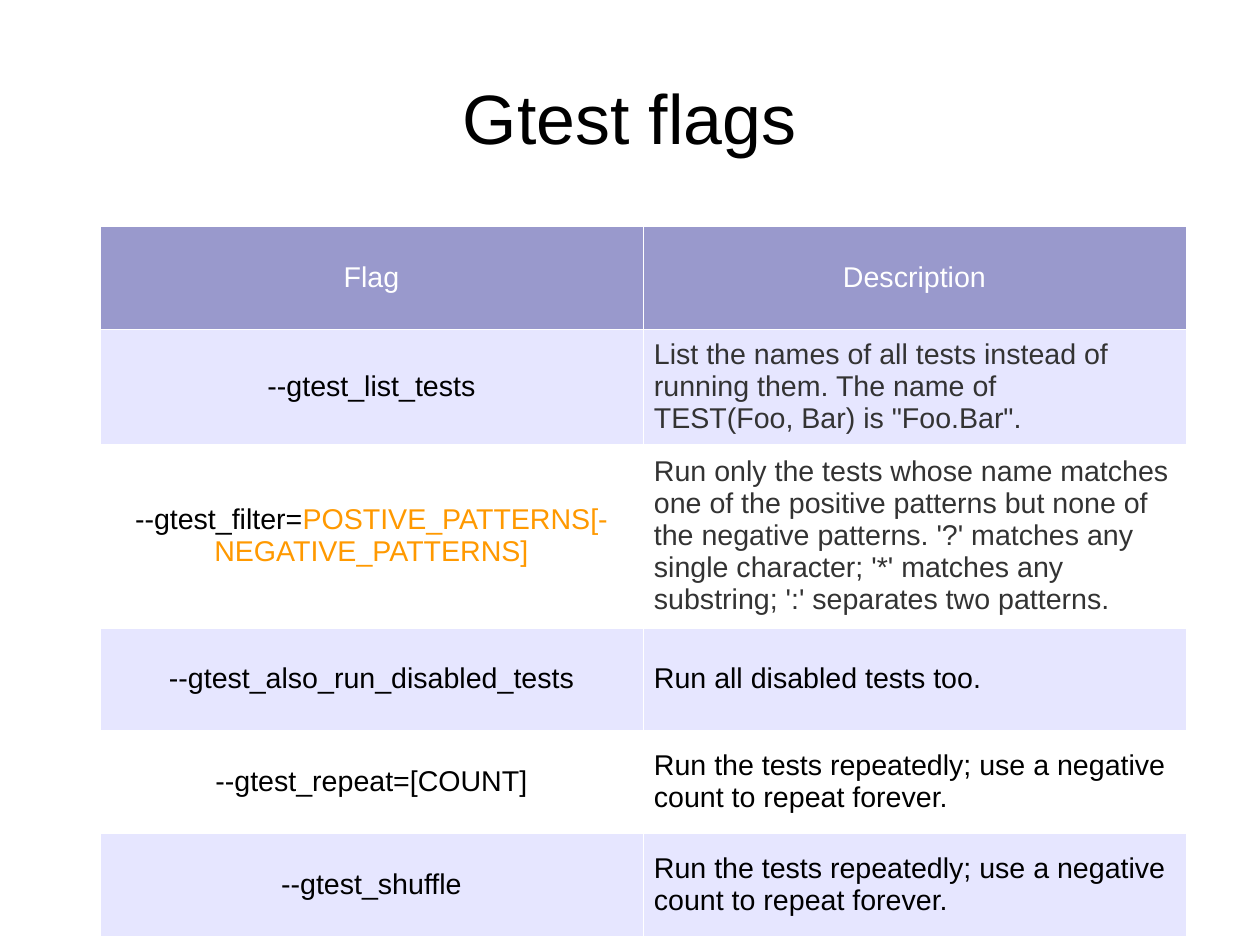
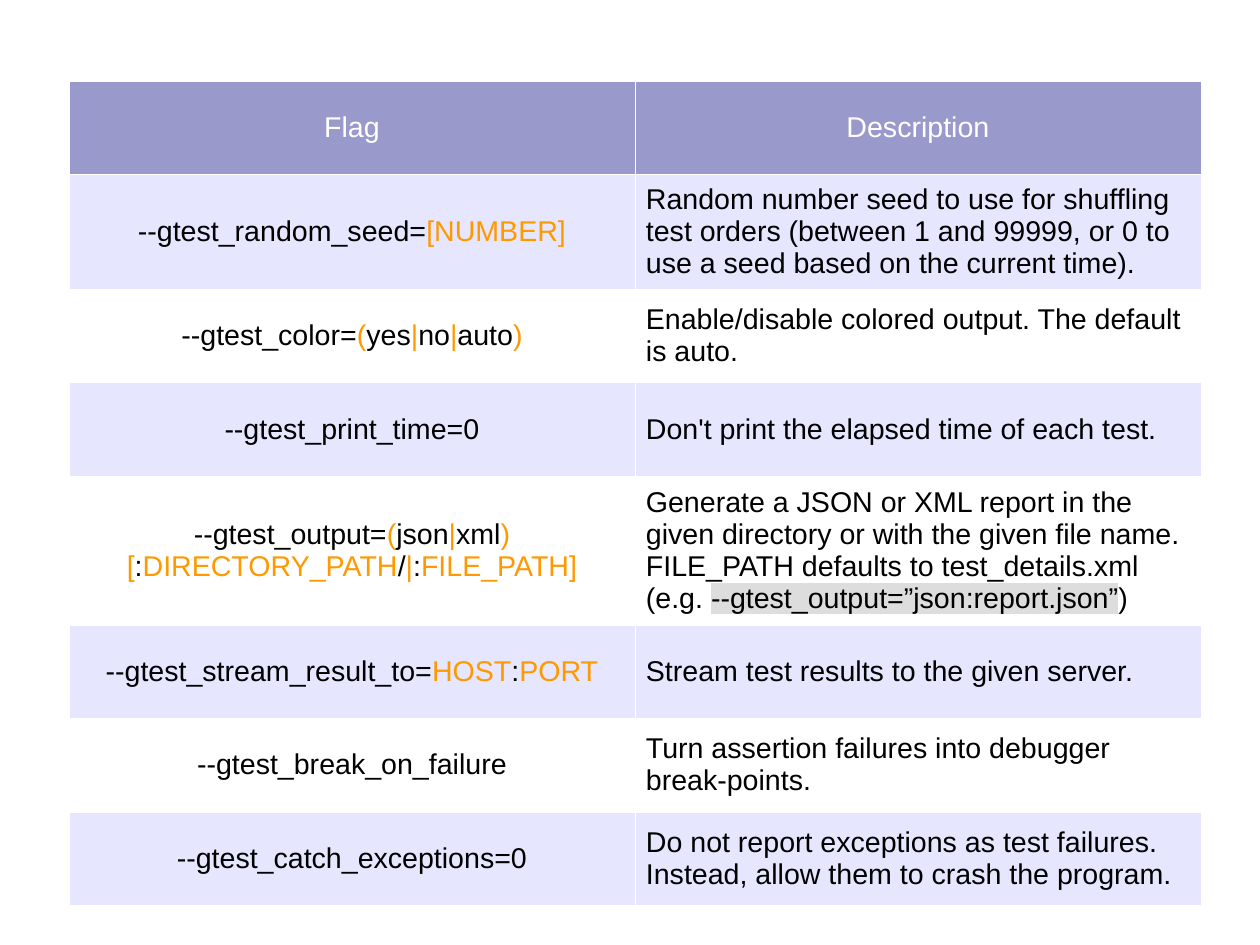
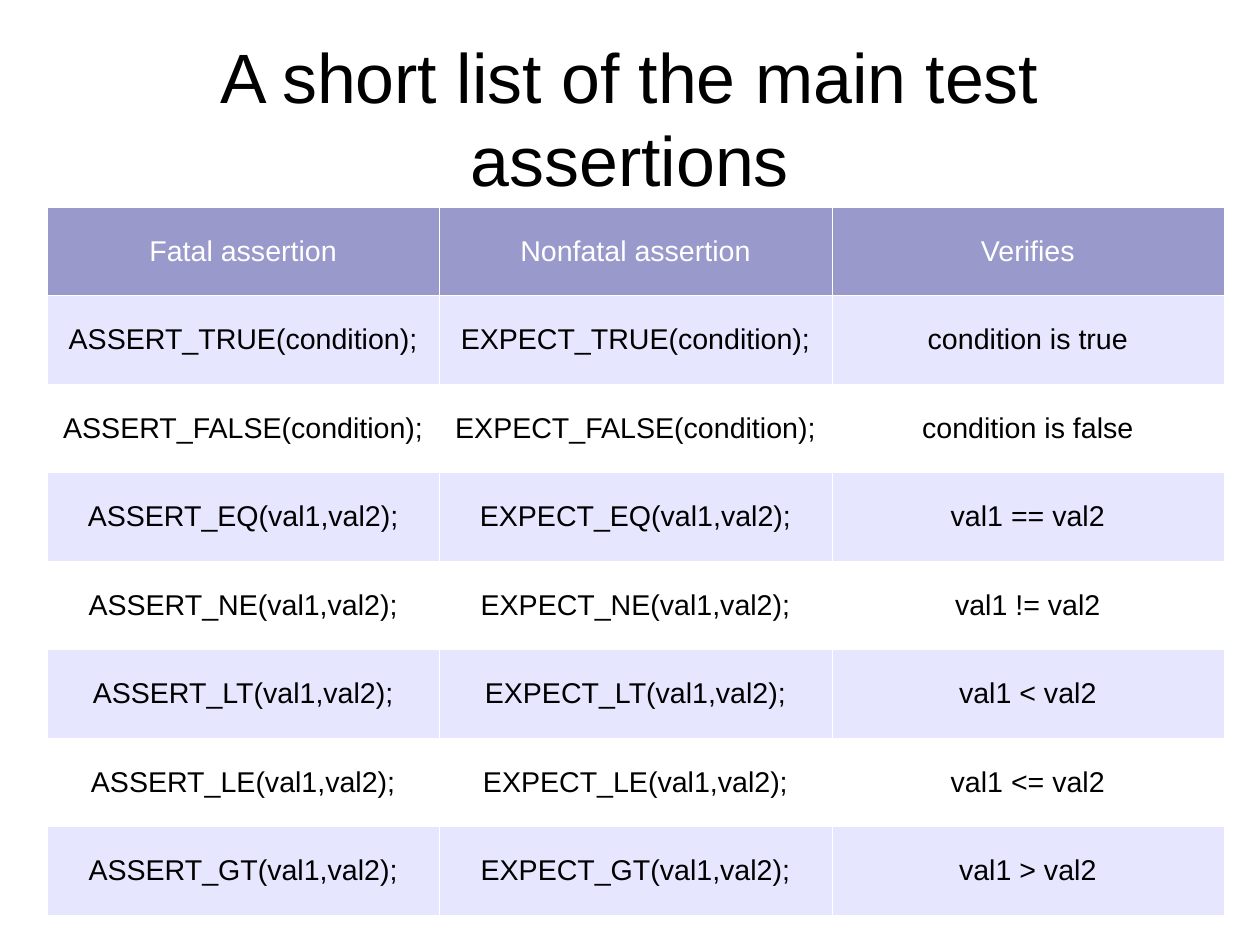
"""Build three slides of test flags and assertions."""
from pptx import Presentation
from pptx.dml.color import RGBColor
from pptx.enum.text import MSO_ANCHOR, PP_ALIGN
from pptx.oxml import parse_xml
from pptx.oxml.ns import nsdecls, qn
from pptx.util import Pt

PX = 8000
SLIDE_SIZE = (1260, 945)
TITLE_BOX = (63, 38, 1134, 158)
CELL_INSETS = (11, 6)
FONT = "Arial"
TITLE_SIZE, CELL_SIZE = 44, 18
BORDER_WIDTH = Pt(0.06)
COLORS = {
    "header": "9999CC",
    "band": "E6E6FF",
    "white": "FFFFFF",
    "black": "000000",
    "muted": "333333",
    "argument": "FF9900",
    "highlight": "DDDDDD",
}

FLAG_HEADER = ("Flag", "Description")
SLIDES = [
    {
        "title": "Gtest flags",
        "box": (100, 226, 1086, 710),
        "tall_rows": {1: 115, 2: 184},
        "muted_rows": (1, 2),
        "left_columns": (1,),
        "rows": [
            FLAG_HEADER,
            ("--gtest_list_tests",
             "List the names of all tests instead of running them. The name of\n"
             'TEST(Foo, Bar) is "Foo.Bar".'),
            (["--gtest_filter=", "POSTIVE_PATTERNS[-NEGATIVE_PATTERNS]"],
             "Run only the tests whose name matches one of the positive patterns "
             "but none of the negative patterns. '?' matches any single character; "
             "'*' matches any substring; ':' separates two patterns."),
            ("--gtest_also_run_disabled_tests", "Run all disabled tests too."),
            ("--gtest_repeat=[COUNT]",
             "Run the tests repeatedly; use a negative count to repeat forever."),
            ("--gtest_shuffle",
             "Run the tests repeatedly; use a negative count to repeat forever."),
        ],
    },
    {
        "box": (69, 81, 1132, 808),
        "tall_rows": {1: 107, 4: 141},
        "left_columns": (1,),
        "rows": [
            FLAG_HEADER,
            (["--gtest_random_seed=", "[NUMBER]"],
             "Random number seed to use for shuffling test orders (between 1 and "
             "99999, or 0 to use a seed based on the current time)."),
            (["--gtest_color=", "(", "yes", "|", "no", "|", "auto", ")"],
             "Enable/disable colored output. The default is auto."),
            ("--gtest_print_time=0", "Don't print the elapsed time of each test."),
            (["--gtest_output=", "(", "json", "|", "xml", ")[", ":",
              "DIRECTORY_PATH", "/", "|", ":", "FILE_PATH]"],
             ["Generate a JSON or XML report in the given directory or with the "
              "given file name. FILE_PATH defaults to test_details.xml (e.g. ",
              "--gtest_output=”json:report.json”", ")"]),
            (["--gtest_stream_result_to=", "HOST", ":", "PORT"],
             "Stream test results to the given server."),
            ("--gtest_break_on_failure",
             "Turn assertion failures into debugger break-points."),
            ("--gtest_catch_exceptions=0",
             "Do not report exceptions as test failures. Instead, allow them to "
             "crash the program."),
        ],
    },
    {
        "title": "A short list of the main test assertions",
        "box": (47, 207, 1177, 708),
        "rows": [("Fatal assertion", "Nonfatal assertion", "Verifies")] + [
            (f"ASSERT_{check};", f"EXPECT_{check};", meaning)
            for check, meaning in [
                ("TRUE(condition)", "condition is true"),
                ("FALSE(condition)", "condition is false"),
                ("EQ(val1,val2)", "val1 == val2"),
                ("NE(val1,val2)", "val1 != val2"),
                ("LT(val1,val2)", "val1 < val2"),
                ("LE(val1,val2)", "val1 <= val2"),
                ("GT(val1,val2)", "val1 > val2"),
            ]
        ],
    },
]


def rgb(name):
    return RGBColor.from_string(COLORS[name])


def emu(lengths):
    return [int(length * PX) for length in lengths]


def style_paragraph(paragraph, size, color, align):
    paragraph.alignment = align
    paragraph.font.name = FONT
    paragraph.font.size = Pt(size)
    paragraph.font.color.rgb = rgb(color)


def add_title(slide, title):
    frame = slide.shapes.add_textbox(*emu(TITLE_BOX)).text_frame
    frame.word_wrap = True
    frame.vertical_anchor = MSO_ANCHOR.MIDDLE
    frame.margin_left = frame.margin_right = frame.margin_top = frame.margin_bottom = 0
    frame.text = title
    style_paragraph(frame.paragraphs[0], TITLE_SIZE, "black", PP_ALIGN.CENTER)


def highlight(run):
    mark = parse_xml(f'<a:highlight {nsdecls("a")}>'
                     f'<a:srgbClr val="{COLORS["highlight"]}"/></a:highlight>')
    run.font._element.append(mark)


def write_cell(cell, content, color, align, left):
    if isinstance(content, str):
        cell.text = content
    else:
        for index, part in enumerate(content):
            run = cell.text_frame.paragraphs[0].add_run()
            run.text = part
            if index % 2 and left:
                highlight(run)
            elif index % 2:
                run.font.color.rgb = rgb("argument")
    for paragraph in cell.text_frame.paragraphs:
        style_paragraph(paragraph, CELL_SIZE, color, align)


def frame_cell(cell, fill):
    cell.vertical_anchor = MSO_ANCHOR.MIDDLE
    cell.margin_left = cell.margin_right = CELL_INSETS[0] * PX
    cell.margin_top = cell.margin_bottom = CELL_INSETS[1] * PX
    cell.fill.solid()
    cell.fill.fore_color.rgb = rgb(fill)
    properties = cell._tc.find(qn("a:tcPr"))
    for index, side in enumerate("LRTB"):
        properties.insert(index, parse_xml(
            f'<a:ln{side} {nsdecls("a")} w="{int(BORDER_WIDTH)}"><a:solidFill>'
            f'<a:srgbClr val="{COLORS["white"]}"/></a:solidFill></a:ln{side}>'))


def add_grid(slide, content):
    rows, box = content["rows"], content["box"]
    tall_rows = content.get("tall_rows", {})
    usual_height = (box[3] - sum(tall_rows.values())) / (len(rows) - len(tall_rows))
    table = slide.shapes.add_table(len(rows), len(rows[0]), *emu(box)).table
    table.first_row = table.horz_banding = False
    for r, row in enumerate(rows):
        table.rows[r].height = int(tall_rows.get(r, usual_height) * PX)
        fill = "header" if r == 0 else "band" if r % 2 else "white"
        for c, text in enumerate(row):
            left = r > 0 and c in content.get("left_columns", ())
            muted = left and r in content.get("muted_rows", ())
            color = "white" if r == 0 else "muted" if muted else "black"
            align = PP_ALIGN.LEFT if left else PP_ALIGN.CENTER
            write_cell(table.cell(r, c), text, color, align, left)
            frame_cell(table.cell(r, c), fill)


def main():
    deck = Presentation()
    deck.slide_width, deck.slide_height = emu(SLIDE_SIZE)
    for content in SLIDES:
        slide = deck.slides.add_slide(deck.slide_layouts[6])
        if "title" in content:
            add_title(slide, content["title"])
        add_grid(slide, content)
    deck.save("out.pptx")


if __name__ == "__main__":
    main()
